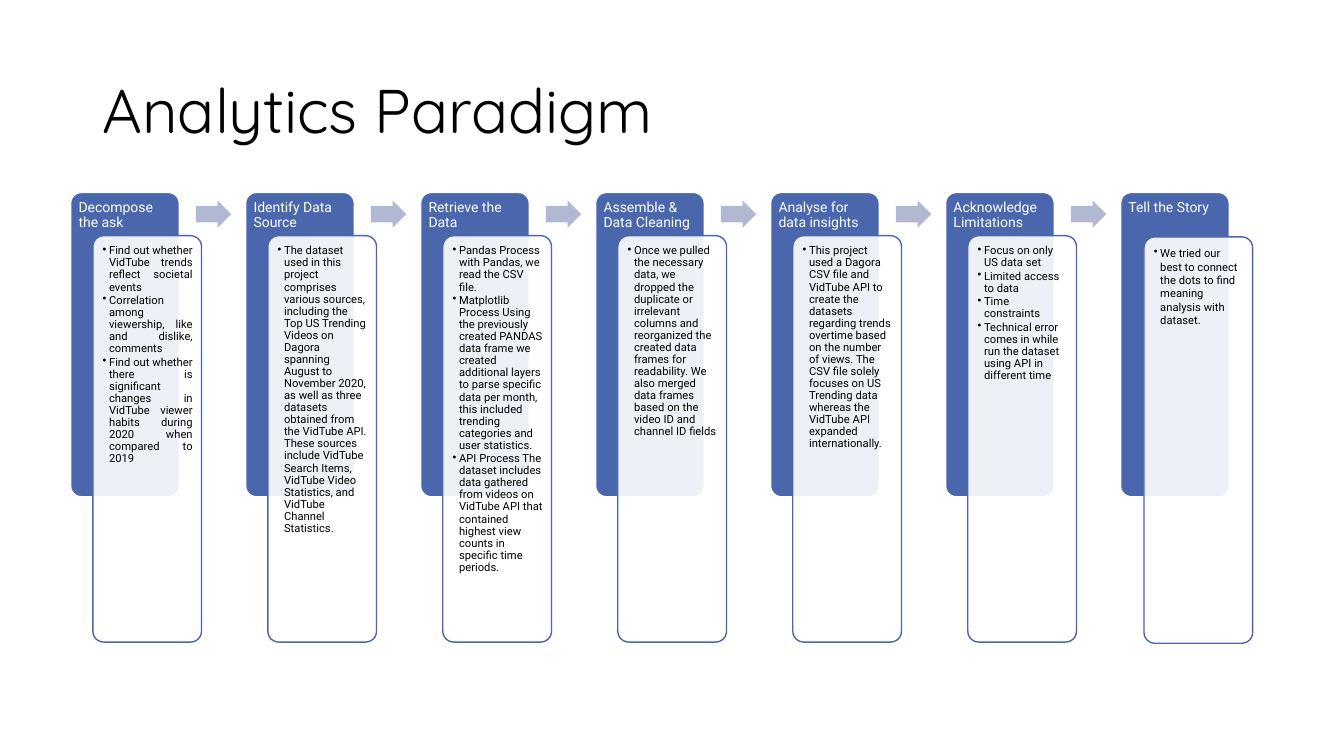
"""Build the Analytics Paradigm slide: seven process steps joined by arrows."""
from pptx import Presentation
from pptx.dml.color import RGBColor
from pptx.enum.shapes import MSO_SHAPE
from pptx.enum.text import MSO_ANCHOR, MSO_AUTO_SIZE, PP_ALIGN
from pptx.oxml.ns import qn
from pptx.util import Cm, Pt
from lxml.etree import SubElement

BLUE = RGBColor(0x4A, 0x66, 0xAC)
PALE_BLUE = RGBColor(0xB2, 0xB8, 0xD2)
WHITE = RGBColor(0xFF, 0xFF, 0xFF)
BLACK = RGBColor(0x00, 0x00, 0x00)

STEPS = [
    ("Decompose the ask", [
        "Find out whether VidTube trends reflect societal events",
        "Correlation among viewership, like and dislike, comments",
        "Find out whether there is significant changes in VidTube viewer habits "
        "during 2020 when compared to 2019"]),
    ("Identify Data Source", [
        "The dataset used in this project comprises various sources, including the "
        "Top US Trending Videos on Dagora spanning August to November 2020, as well "
        "as three datasets obtained from the VidTube API. These sources include "
        "VidTube Search Items, VidTube Video Statistics, and VidTube Channel "
        "Statistics."]),
    ("Retrieve the Data", [
        "Pandas Process with Pandas, we read the CSV file.",
        "Matplotlib Process Using the previously created PANDAS data frame we created "
        "additional layers to parse specific data per month, this included trending "
        "categories and user statistics.",
        "API Process The dataset includes data gathered from videos on VidTube API "
        "that contained highest view counts in specific time periods."]),
    ("Assemble & Data Cleaning", [
        "Once we pulled the necessary data, we dropped the duplicate or irrelevant "
        "columns and reorganized the created data frames for readability. We also "
        "merged data frames based on the video ID and channel ID fields"]),
    ("Analyse for data insights", [
        "This project used a Dagora CSV file and VidTube API to create the datasets "
        "regarding trends overtime based on the number of views. The CSV file solely "
        "focuses on US Trending data whereas the VidTube API expanded "
        "internationally."]),
    ("Acknowledge Limitations", [
        "Focus on only US data set",
        "Limited access to data",
        "Time constraints",
        "Technical error comes in while run the dataset using API in different time"]),
    ("Tell the Story", [
        "We tried our best to connect the dots to find meaning analysis with "
        "dataset."]),
]
FIRST_LEFT, PITCH = 1.78, 4.41


def add_block(kind, left, top, width, height, fill, line=None):
    """Add a filled preset shape with an optional outline."""
    block = page.shapes.add_shape(kind, Cm(left), Cm(top), Cm(width), Cm(height))
    block.shadow.inherit = False
    block.fill.solid()
    block.fill.fore_color.rgb = fill
    if line is None:
        block.line.fill.background()
    else:
        block.line.color.rgb = line
        block.line.width = Pt(1)
    return block


def add_text(left, top, width, height, texts, size, color, margins, spacing):
    """Add a wrapped text box and return its paragraphs."""
    frame = page.shapes.add_textbox(Cm(left), Cm(top), Cm(width), Cm(height)).text_frame
    frame.text = "\n".join(texts)
    layout = {"word_wrap": True, "vertical_anchor": MSO_ANCHOR.TOP, **margins}
    for name, value in layout.items():
        setattr(frame, name, value)
    for para in frame.paragraphs:
        para.line_spacing = spacing
        span = para.runs[0]
        span.font.color.rgb = color
        for name, value in {"name": "Roboto", "size": Pt(size)}.items():
            setattr(span.font, name, value)
    return frame.paragraphs


deck = Presentation()
deck.slide_width, deck.slide_height = Cm(33.87), Cm(19.05)
page = deck.slides.add_slide(deck.slide_layouts[5])

title = page.shapes.title
title_place = {"left": Cm(2.33), "top": Cm(1.01), "width": Cm(29.21), "height": Cm(3.68)}
for name, value in title_place.items():
    setattr(title, name, value)
title.text_frame.text = "Analytics Paradigm"
title.text_frame.auto_size = MSO_AUTO_SIZE.NONE
title.text_frame.vertical_anchor = MSO_ANCHOR.MIDDLE
para = title.text_frame.paragraphs[0]
para.alignment = PP_ALIGN.LEFT
para.line_spacing = 0.9
span = para.runs[0]
span.font.color.rgb = BLACK
for name, value in {"name": "Quicksand", "size": Pt(44)}.items():
    setattr(span.font, name, value)

heading_margins = {"margin_left": Cm(0.2), "margin_top": Cm(0.2),
                   "margin_right": Cm(0.2), "margin_bottom": Cm(0.1)}
detail_margins = dict.fromkeys(heading_margins, Cm(0.16))

for index, (heading, details) in enumerate(STEPS):
    left = FIRST_LEFT + index * PITCH
    is_last = index == len(STEPS) - 1
    shift = 0.03 if is_last else 0

    card = add_block(MSO_SHAPE.ROUNDED_RECTANGLE, left, 4.85, 2.74, 7.67, BLUE, WHITE)
    card.adjustments[0] = 0.1
    add_text(left, 4.85, 2.74, 1.09, [heading], 10, WHITE, heading_margins, 0.9)

    panel = add_block(MSO_SHAPE.ROUNDED_RECTANGLE, left + 0.56 + shift, 5.94 + shift,
                      2.74, 10.24, WHITE, BLUE)
    panel.adjustments[0] = 0.1
    panel_color = panel.fill._xPr.find(qn("a:solidFill"))[0]
    SubElement(panel_color, qn("a:alpha"), val="90000")

    paragraphs = add_text(left + 0.65 + shift, 6.02 + shift, 2.59, 10.08, details, 8,
                          BLACK, detail_margins, 1.0 if is_last else 0.9)
    for para in paragraphs:
        para.alignment = PP_ALIGN.JUSTIFY if index == 0 else PP_ALIGN.LEFT
        para.space_after = Pt(1)
        properties = para._p.get_or_add_pPr()
        properties.set("marL", str(Cm(0.16)))
        properties.set("indent", str(-Cm(0.16)))
        SubElement(properties, qn("a:buChar"), char="•")

    if not is_last:
        arrow = add_block(MSO_SHAPE.RIGHT_ARROW, left + 3.16, 5.05, 0.89, 0.69, PALE_BLUE)
        arrow.adjustments[0] = 0.6
        arrow.adjustments[1] = 0.5

deck.save("out.pptx")
